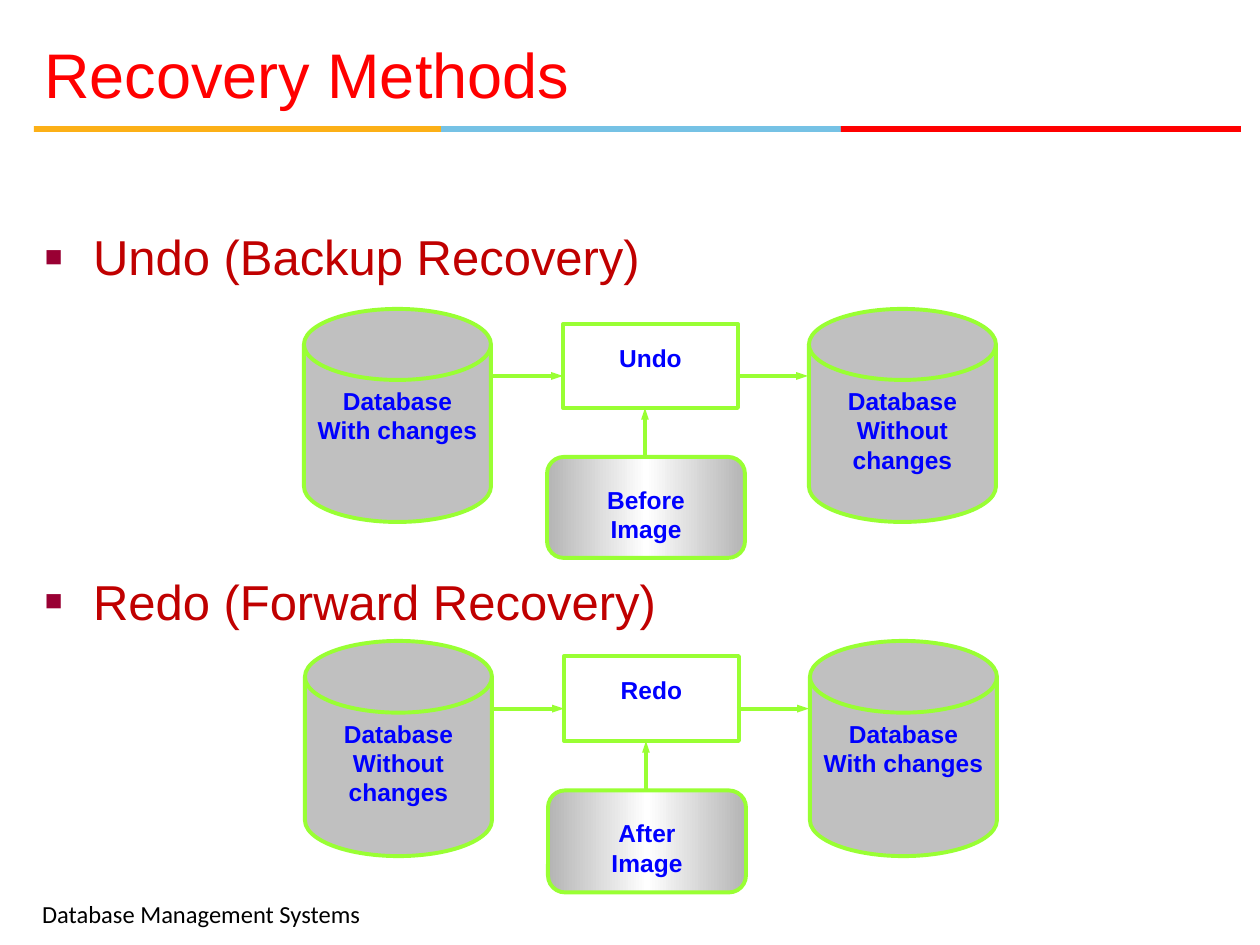
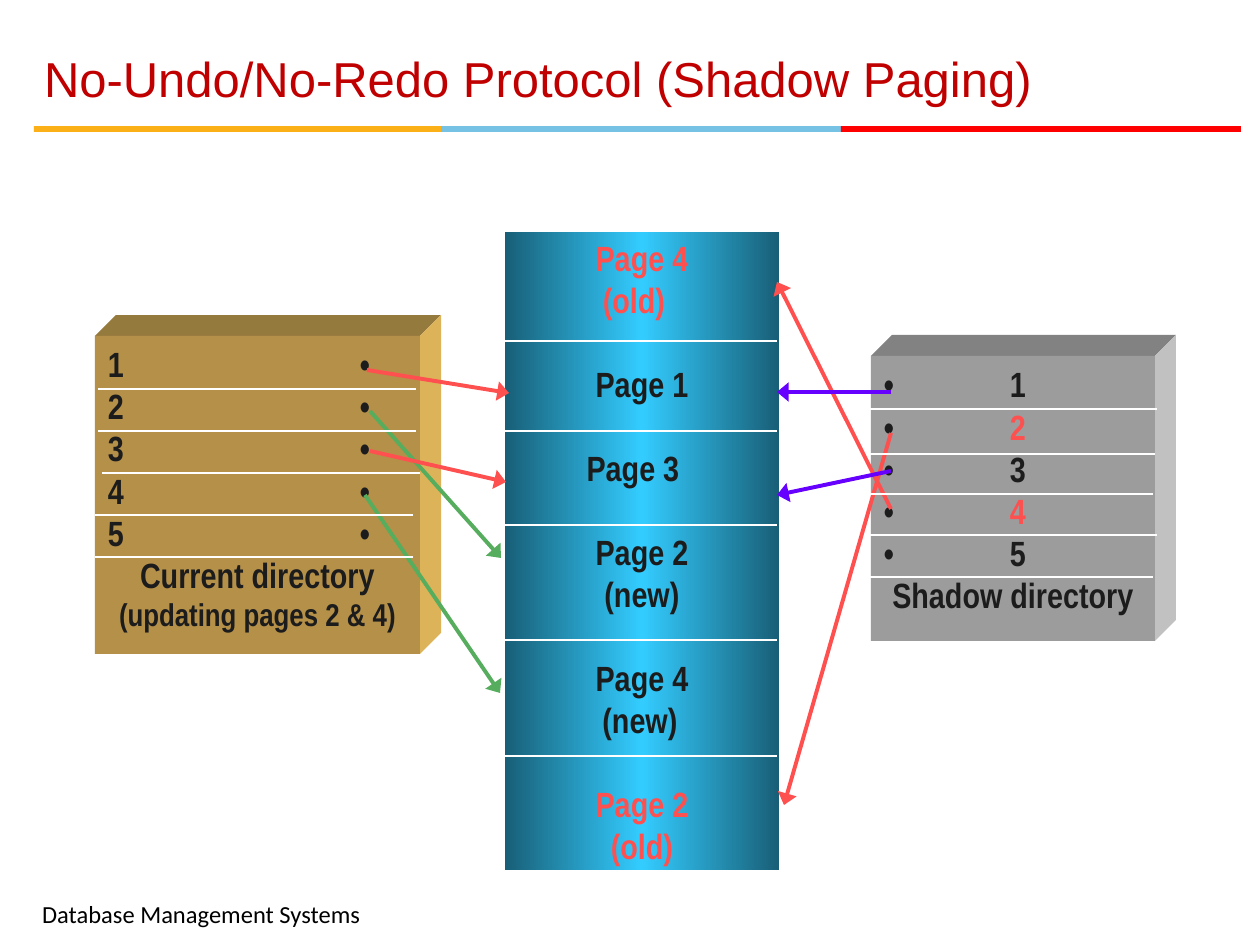
from copy import deepcopy
from dataclasses import dataclass

from lxml import etree
from pptx import Presentation
from pptx import util as u
from pptx.dml.color import RGBColor
from pptx.enum import shapes, text
from pptx.oxml.ns import qn

SCALE = u.Inches(1) // 126  # EMU per pixel


@dataclass(frozen=True)
class Theme:
    font: str = "Arial"
    narrow: str = "Arial Narrow"
    footer_font: str = "Calibri"
    red: str = "FF0000"
    dark_red: str = "C00000"
    gold: str = "FCB017"
    sky: str = "76C2E5"
    bullet: str = "990033"
    blue: str = "0000FF"
    lime: str = "99FF33"
    silver: str = "C0C0C0"
    white: str = "FFFFFF"
    black: str = "000000"
    ink: str = "1C1C1C"
    coral: str = "FF5050"
    green: str = "55AD5D"
    violet: str = "6600FF"
    image_gradient: tuple = ("B4B4B4", "FFFFFF", "B4B4B4")
    page_gradient: tuple = ("185E76", "33CCFF", "185E76")
    brown_block: tuple = ("B59049", "957A3D", "DDB35A")  # front, top, side
    gray_block: tuple = ("9C9C9C", "828282", "C1C1C1")
    title: int = 36
    heading: int = 28
    page: int = 20
    note: int = 18
    label: int = 14
    line: float = 2.25
    divider: float = 0.75


T = Theme()

# Shared content
FOOTER = "Database Management Systems"
BANDS = [(34, 407, T.gold), (441, 400, T.sky), (841, 400, T.red)]

# Recovery methods: origin and vertical stretch, then the labels
HEADINGS = ["Undo (Backup Recovery)", "Redo (Forward Recovery)"]
FLOWS = [
    dict(origin=(304, 309), stretch=1, source=["Database", "With changes"],
         action="Undo", image=["Before", "Image"],
         result=["Database", "Without changes"]),
    dict(origin=(305, 641), stretch=1.01, source=["Database", "Without", "changes"],
         action="Redo", image=["After", "Image"],
         result=["Database", "With changes"]),
]

# Shadow paging: (text, colour, right margin) for each line of a page
PAGES = [
    [("Page 4", T.coral, 0), ("(old)", T.coral, 16)],
    [("Page 1", T.ink, 0)],
    [("Page 3", T.ink, 18)],
    [("Page 2", T.ink, 0), ("(new)", T.ink, 0)],
    [("Page 4", T.ink, 0), ("(new)", T.ink, 4)],
    [("Page 2", T.coral, 0), ("(old)", T.coral, 0)],
]
ENTRIES = range(1, 6)
UPDATED = (2, 4)
TAB_STOPS = (126, 252)
DIVIDERS = [  # width, then (left, top) of each line
    (273, [(504, y) for y in (341, 431, 525, 640, 756)]),
    (318, [(x, 389 + 42 * i) for i, x in enumerate((98, 98, 102, 95, 95))]),
    (289, [(868, 409), (866, 454), (864, 494), (868, 535), (864, 577)]),
]
POINTERS = [
    ((367, 370), (509, 393), T.coral), ((370, 411), (501, 558), T.green),
    ((365, 495), (500, 693), T.green), ((370, 451), (506, 482), T.coral),
    ((891, 433), (784, 805), T.coral), ((891, 509), (777, 282), T.coral),
    ((891, 471), (777, 495), T.violet), ((891, 392), (777, 392), T.violet),
]


def px(*values):
    return [round(value * SCALE) for value in values]


def rgb(value):
    return RGBColor.from_string(value)


def add_run(paragraph, words, size, color, font=T.font, bold=False):
    run = paragraph.add_run()
    run.text = words
    run.font.size, run.font.name, run.font.bold = u.Pt(size), font, bold
    run.font.color.rgb = rgb(color)


def set_frame(shape, insets=(13, 6, 13, 6), anchor=text.MSO_ANCHOR.TOP):
    frame = shape.text_frame
    frame.word_wrap = True
    frame.auto_size = text.MSO_AUTO_SIZE.NONE
    frame.vertical_anchor = anchor
    (frame.margin_left, frame.margin_top,
     frame.margin_right, frame.margin_bottom) = px(*insets)
    return frame


def next_paragraph(frame, index, align=text.PP_ALIGN.LEFT):
    paragraph = frame.add_paragraph() if index else frame.paragraphs[0]
    paragraph.alignment = align
    return paragraph


def set_tabs(paragraph):
    tabs = etree.SubElement(paragraph._p.get_or_add_pPr(), qn("a:tabLst"))
    for stop in px(*TAB_STOPS):
        etree.SubElement(tabs, qn("a:tab"), pos=str(stop), algn="l")


def paint(shape, fill, line=None, width=T.line):
    shape.shadow.inherit = False
    if isinstance(fill, tuple):
        shape.fill.gradient()
        shape.fill.gradient_angle = 0
        stops = shape.element.find(".//" + qn("a:gsLst"))
        stops.append(deepcopy(stops[-1]))
        for stop, color, place in zip(shape.fill.gradient_stops, fill, (0, 0.5, 1)):
            stop.color.rgb, stop.position = rgb(color), place
    else:
        shape.fill.solid()
        shape.fill.fore_color.rgb = rgb(fill)
    if line:
        shape.line.color.rgb, shape.line.width = rgb(line), u.Pt(width)
    else:
        shape.line.fill.background()
    return shape


def add_box(slide, kind, box, fill, line=None, width=T.line):
    return paint(slide.shapes.add_shape(kind, *px(*box)), fill, line, width)


def add_line(slide, start, end, color, width=T.line, head=None):
    """Draw a straight line; head is the arrowhead width, sm or lg."""
    line = slide.shapes.add_connector(
        shapes.MSO_CONNECTOR.STRAIGHT, *px(*start, *end))
    line.line.color.rgb, line.line.width = rgb(color), u.Pt(width)
    if head:
        etree.SubElement(line.line._get_or_add_ln(), qn("a:tailEnd"),
                         type="triangle", w=head, len="med")
    etree.SubElement(line.element.spPr, qn("a:effectLst"))


def add_slide(title, height, size, color):
    slide = presentation.slides.add_slide(layout)
    holder = slide.shapes.title
    holder.left, holder.top, holder.width, holder.height = px(31, 41, 1075, height)
    frame = set_frame(holder, anchor=text.MSO_ANCHOR.BOTTOM)
    add_run(next_paragraph(frame, 0), title, size, color)
    return slide


def share_bands_and_footer(slide):
    """Draw the shared parts, then move them to the layout."""
    parts = [add_box(slide, shapes.MSO_SHAPE.RECTANGLE, (left, 126, width, 6), color)
             for left, width, color in BANDS]
    footer = slide.shapes.add_textbox(*px(42, 899, 357, 30))
    frame = set_frame(footer, (0, 0, 0, 0), text.MSO_ANCHOR.MIDDLE)
    add_run(next_paragraph(frame, 0), FOOTER, T.label, T.black, T.footer_font)
    for part in parts + [footer]:
        layout.shapes.element.append(part.element)


def add_headings(slide):
    frame = set_frame(slide.shapes.add_textbox(*px(32, 221, 1143, 630)))
    for index, words in enumerate(HEADINGS):
        paragraph = next_paragraph(frame, index)
        paragraph.space_before = u.Pt(163 * index)
        add_run(paragraph, words, T.heading, T.dark_red)
        properties = paragraph._p.get_or_add_pPr()
        indent = px(48)[0]
        properties.set("marL", str(indent))
        properties.set("indent", str(-indent))
        color = etree.SubElement(properties, qn("a:buClr"))
        etree.SubElement(color, qn("a:srgbClr"), val=T.bullet)
        etree.SubElement(properties, qn("a:buSzPct"), val="60000")
        etree.SubElement(properties, qn("a:buFont"), typeface=T.font)
        etree.SubElement(properties, qn("a:buChar"), char="■")


def add_flow(slide, flow):
    left, top = flow["origin"]
    stretch = flow["stretch"]

    def at(x, y):
        return left + x, top + y * stretch

    def node(kind, box, fill, lines, inset=6):
        x, y, width, height = box
        shape = add_box(slide, kind, (*at(x, y), width, height * stretch), fill, T.lime)
        frame = set_frame(shape, (13, inset, 13, 6))
        for index, words in enumerate(lines):
            paragraph = next_paragraph(frame, index, text.PP_ALIGN.CENTER)
            add_run(paragraph, words, T.label, T.blue, bold=True)

    kind = shapes.MSO_SHAPE
    disk = kind.FLOWCHART_MAGNETIC_DISK
    node(disk, (0, 0, 187, 213), T.silver, flow["source"])
    node(kind.RECTANGLE, (259, 15, 175, 84), T.white, [flow["action"]], 19)
    node(kind.ROUNDED_RECTANGLE, (243, 148, 198, 101), T.image_gradient,
         flow["image"], 23)
    node(disk, (505, 0, 187, 213), T.silver, flow["result"])
    for start, end in [((341, 148), (341, 99)), ((187, 67), (259, 67)),
                       ((432, 67), (504, 67))]:
        add_line(slide, at(*start), at(*end), T.lime, head="sm")


def add_block(slide, box, colors, depth=21):
    """Draw a block with a top and a side face; return its front."""
    left, top, width, height = box
    right, bottom = left + width, top + height
    front, top_color, side_color = colors
    faces = [
        (top_color, [(left, top), (left + depth, top - depth),
                     (right + depth, top - depth), (right, top)]),
        (side_color, [(right, top), (right + depth, top - depth),
                      (right + depth, bottom - depth), (right, bottom)]),
    ]
    for color, points in faces:
        corners = [px(*point) for point in points]
        builder = slide.shapes.build_freeform(*corners[0])
        builder.add_line_segments(corners[1:], close=True)
        paint(builder.convert_to_shape(), color)
    return add_box(slide, shapes.MSO_SHAPE.RECTANGLE, box, front)


def add_directory(slide, box, colors, rows, captions):
    frame = set_frame(add_block(slide, box, colors), (13, 7, 13, 0))
    for index, runs in enumerate(rows):
        paragraph = next_paragraph(frame, index)
        set_tabs(paragraph)
        for words, color in runs:
            add_run(paragraph, words, T.page, color, T.narrow, True)
    for words, size in captions:
        paragraph = next_paragraph(frame, len(rows), text.PP_ALIGN.CENTER)
        add_run(paragraph, words, size, T.ink, T.narrow, True)


def add_pages(slide):
    column = add_box(slide, shapes.MSO_SHAPE.RECTANGLE, (504, 231, 276, 640),
                     T.page_gradient, T.white, 1)
    frame = set_frame(column, (13, 5, 13, 0))
    for number, page in enumerate(PAGES):
        for row, (words, color, margin) in enumerate(page):
            paragraph = next_paragraph(frame, number + row, text.PP_ALIGN.CENTER)
            paragraph.space_before = u.Pt(24 if number and not row else 0)
            paragraph._p.get_or_add_pPr().set("marR", str(px(margin)[0]))
            add_run(paragraph, words, T.page, color, T.narrow, True)


presentation = Presentation()
presentation.slide_width, presentation.slide_height = px(1260, 945)
layout = presentation.slide_layouts[5]

# Slide 1: undo and redo flows
recovery = add_slide("Recovery Methods", 76, T.title, T.red)
share_bands_and_footer(recovery)
add_headings(recovery)
for flow in FLOWS:
    add_flow(recovery, flow)

# Slide 2: directories pointing at pages
paging = add_slide("No-Undo/No-Redo Protocol (Shadow Paging)", 72,
                   T.heading, T.dark_red)
add_directory(paging, (95, 336, 325, 318), T.brown_block,
              [[(f"{entry}\t\t•", T.ink)] for entry in ENTRIES],
              [("Current directory", T.page), ("(updating pages 2 & 4)", T.note)])
add_pages(paging)
add_directory(paging, (871, 356, 284, 285), T.gray_block,
              [[("•\t", T.ink), (str(entry), T.coral if entry in UPDATED else T.ink)]
               for entry in ENTRIES],
              [("Shadow directory", T.page)])
for start, end, color in POINTERS:
    add_line(paging, start, end, color, head="lg")
for width, starts in DIVIDERS:
    for x, y in starts:
        add_line(paging, (x, y), (x + width, y), T.white, T.divider)

presentation.save("out.pptx")
